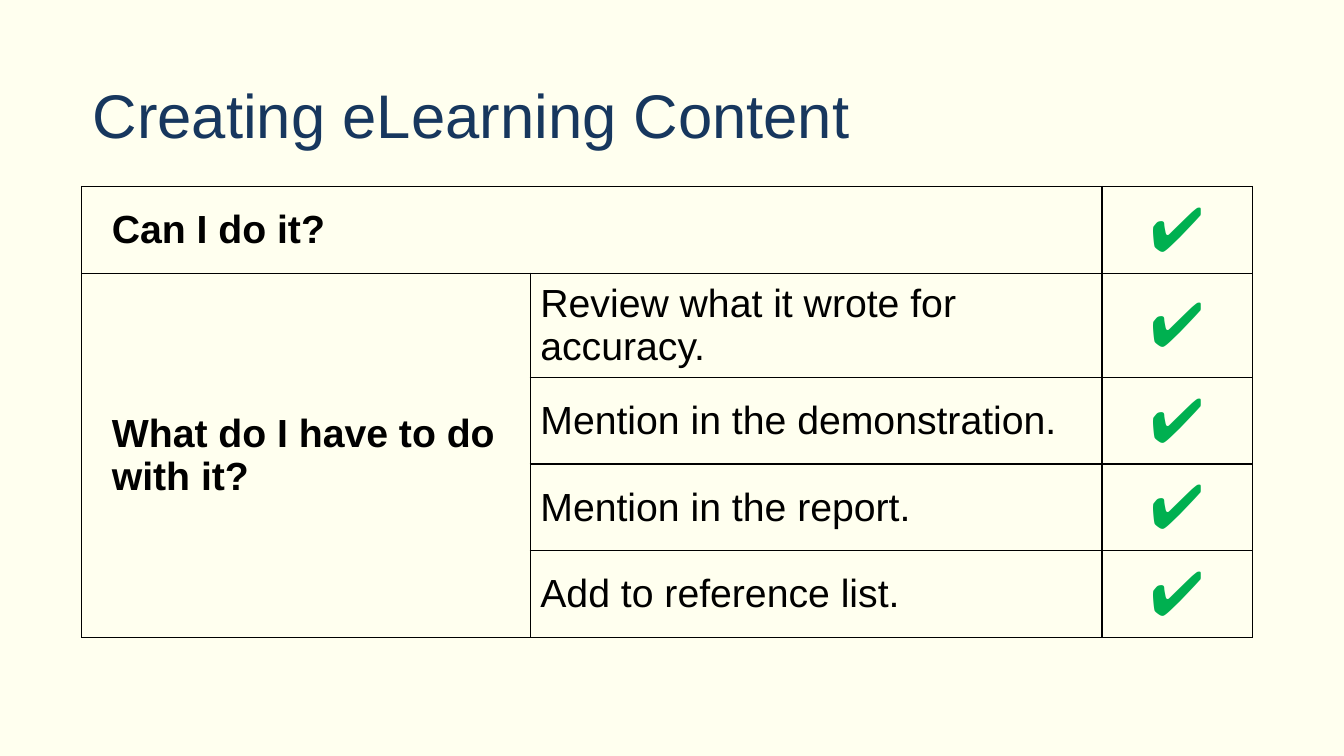
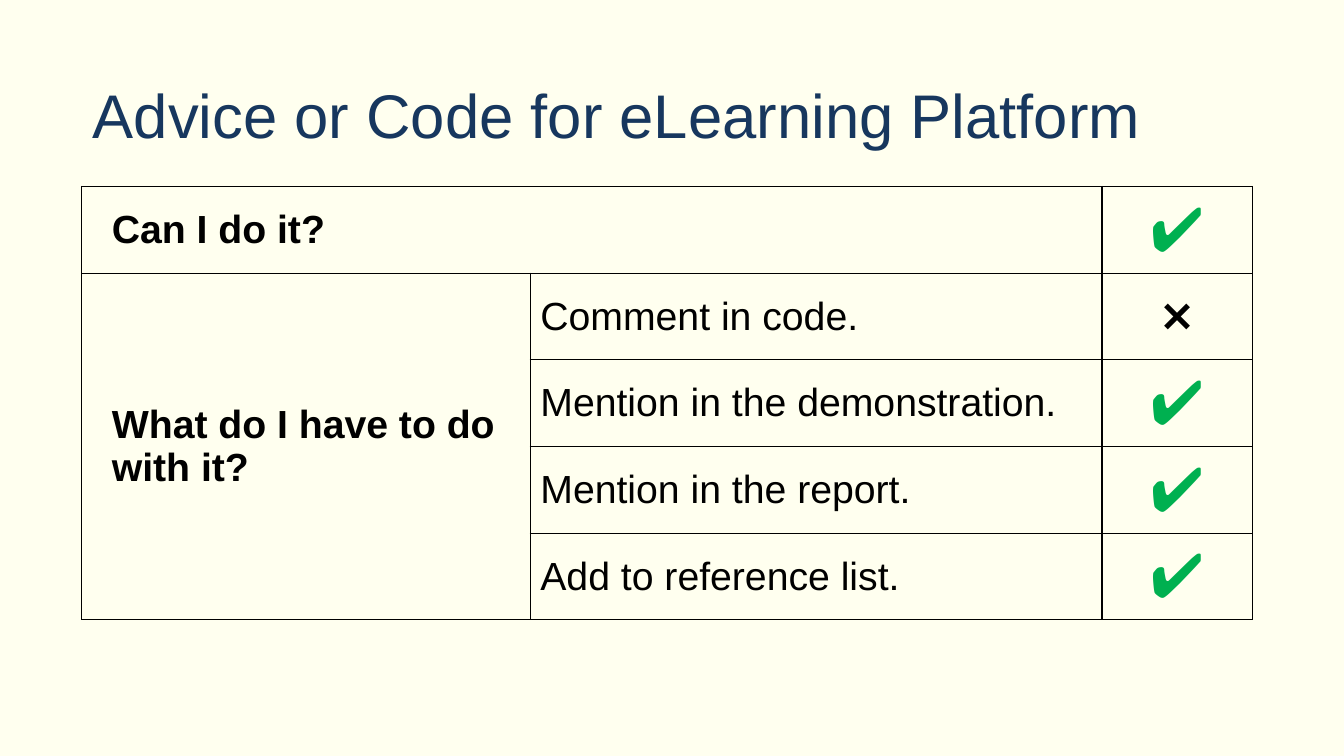
from lxml.etree import SubElement
from pptx import Presentation
from pptx.dml.color import RGBColor
from pptx.enum.text import MSO_ANCHOR, PP_ALIGN
from pptx.oxml.ns import qn
from pptx.util import Pt

PX = 9144  # EMU, 100 px to the inch
FONT = "Arial"
CREAM = RGBColor(0xFF, 0xFF, 0xEF)
NAVY = RGBColor(0x17, 0x37, 0x5E)
BLACK = RGBColor(0, 0, 0)
GREEN = RGBColor(0x00, 0xB0, 0x50)

COLUMN_WIDTHS = (445, 567, 149)
ROW_HEIGHT = 86
CELL_INDENT = 30
YES, NO = "✔", "❌"

COMMON_DUTIES = [
    ("Mention in the demonstration.", YES),
    ("Mention in the report.", YES),
    ("Add to reference list.", YES),
]
TOPICS = [
    ("Creating eLearning Content",
     [("Review what it wrote for accuracy.", YES)] + COMMON_DUTIES),
    ("Advice or Code for eLearning Platform",
     [("Comment in code.", NO)] + COMMON_DUTIES),
]


def px(length):
    return length * PX


def write(frame, text, size=28, color=BLACK, bold=False, align=PP_ALIGN.LEFT):
    frame.word_wrap = True
    paragraph = frame.paragraphs[0]
    paragraph.alignment = align
    run = paragraph.add_run()
    run.text = text
    run.font.name = FONT
    run.font.size = Pt(size)
    run.font.bold = bold
    run.font.color.rgb = color


def add_title(slide, text):
    frame = slide.shapes.add_textbox(px(92), px(40), px(1150), px(145)).text_frame
    frame.margin_left = frame.margin_right = 0
    frame.margin_top = frame.margin_bottom = 0
    frame.vertical_anchor = MSO_ANCHOR.MIDDLE
    write(frame, text, size=44, color=NAVY)


def outline_cell(cell):
    properties = cell._tc.get_or_add_tcPr()
    for side in ("a:lnL", "a:lnR", "a:lnT", "a:lnB"):
        border = SubElement(properties, qn(side), w=str(Pt(1)))
        fill = SubElement(border, qn("a:solidFill"))
        SubElement(fill, qn("a:srgbClr"), val=str(BLACK))


def write_question(cell, text):
    cell.margin_left = px(CELL_INDENT)
    write(cell.text_frame, text, bold=True)


def write_mark(cell, mark):
    size, color = (44, GREEN) if mark == YES else (32, BLACK)
    write(cell.text_frame, mark, size=size, color=color, align=PP_ALIGN.CENTER)


def add_checklist(slide, duties):
    row_count = len(duties) + 1
    table = slide.shapes.add_table(
        row_count, len(COLUMN_WIDTHS), px(81), px(185),
        px(sum(COLUMN_WIDTHS)), px(ROW_HEIGHT * row_count)).table
    table.first_row = table.horz_banding = False
    for column, width in zip(table.columns, COLUMN_WIDTHS):
        column.width = px(width)
    for cell in table.iter_cells():
        outline_cell(cell)
        cell.fill.background()
        cell.vertical_anchor = MSO_ANCHOR.MIDDLE

    table.cell(0, 0).merge(table.cell(0, 1))
    table.cell(1, 0).merge(table.cell(row_count - 1, 0))
    write_question(table.cell(0, 0), "Can I do it?")
    write_mark(table.cell(0, 2), YES)
    write_question(table.cell(1, 0), "What do I have to do with it?")
    for row, (duty, mark) in enumerate(duties, start=1):
        write(table.cell(row, 1).text_frame, duty)
        write_mark(table.cell(row, 2), mark)


def main():
    deck = Presentation()
    deck.slide_width, deck.slide_height = px(1333), px(750)
    for title, duties in TOPICS:
        slide = deck.slides.add_slide(deck.slide_layouts[6])
        slide.background.fill.solid()
        slide.background.fill.fore_color.rgb = CREAM
        add_title(slide, title)
        add_checklist(slide, duties)
    deck.save("out.pptx")


if __name__ == "__main__":
    main()
